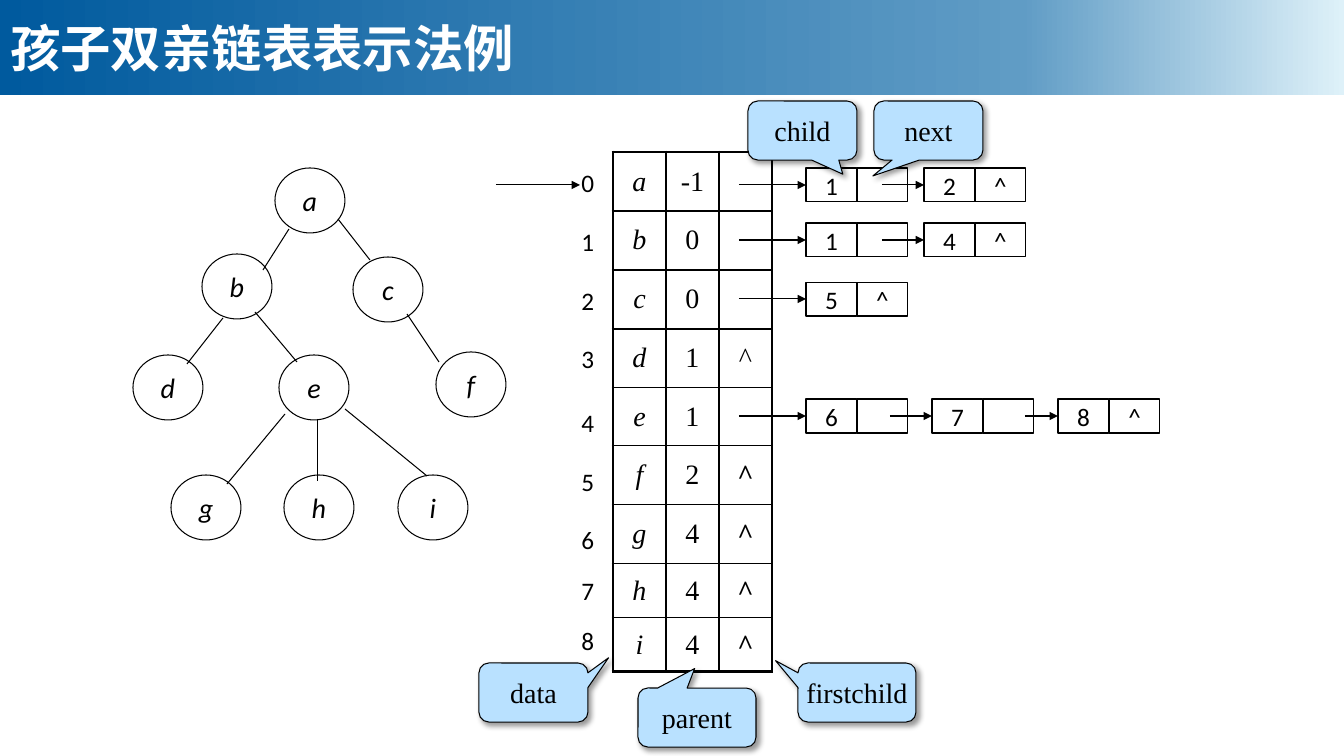
import pptx
import pptx.util
import pptx.dml.color
import pptx.enum.shapes
import pptx.enum.text
import pptx.oxml
import pptx.oxml.ns

PX = 9071  # EMU in one px
Pt = pptx.util.Pt
RGB = pptx.dml.color.RGBColor.from_string
Kind = pptx.enum.shapes.MSO_SHAPE
Align = pptx.enum.text.PP_ALIGN
Middle = pptx.enum.text.MSO_ANCHOR.MIDDLE
NS = pptx.oxml.ns.nsdecls("a")

THEME = {
    "ink": "000000", "white": "FFFFFF", "note": "B9E1FF",
    "band": [(0, "005A9E"), (76, "609CC5"), (100, "DEF1F9")],
    "thin": 0.75, "rule": 1, "frame": 2.25,
    "title": {"name": "Noto Sans CJK SC", "size": Pt(36), "bold": True},
    "node": {"name": "Calibri", "size": Pt(20), "italic": True},
    "small": {"name": "Calibri", "size": Pt(18)},
    "serif": {"name": "Times New Roman", "size": Pt(20)},
}


def write(frame, text, style, align=Align.CENTER, color="ink"):
    para = frame.paragraphs[0]
    para.alignment = align
    run = para.add_run()
    run.text = text
    for key, value in style.items():
        setattr(run.font, key, value)
    run.font.color.rgb = RGB(THEME[color])
    return run


def box(kind, x, y, w, h, text, style, fill=None):
    shape = slide.shapes.add_shape(kind, x * PX, y * PX, w * PX, h * PX)
    shape.shadow.inherit = False
    shape.line.color.rgb = RGB(THEME["ink"])
    shape.line.width = Pt(THEME["thin"])
    if fill:
        shape.fill.solid()
        shape.fill.fore_color.rgb = RGB(THEME[fill])
    else:
        shape.fill.background()
    if text:
        shape.text_frame.word_wrap = False
        shape.text_frame.vertical_anchor = Middle
        write(shape.text_frame, text, style)
    return shape


deck = pptx.Presentation()
deck.slide_width, deck.slide_height = 1344 * PX, 756 * PX
slide = deck.slides.add_slide(deck.slide_layouts[5])

# Title band
title = slide.shapes.title
title.left, title.top, title.width, title.height = 0, 0, 1344 * PX, 95 * PX
stops = "".join(f'<a:gs pos="{at * 1000}"><a:srgbClr val="{color}"/></a:gs>'
                for at, color in THEME["band"])
title._element.spPr.append(pptx.oxml.parse_xml(
    f'<a:gradFill {NS} rotWithShape="1"><a:gsLst>{stops}</a:gsLst>'
    '<a:lin ang="0" scaled="0"/></a:gradFill>'))
title.text_frame.auto_size = pptx.enum.text.MSO_AUTO_SIZE.NONE
title.text_frame.vertical_anchor = Middle
run = write(title.text_frame, "孩子双亲链表表示法例", THEME["title"], Align.LEFT, "white")
run.font._element.append(pptx.oxml.parse_xml(
    f'<a:ea {NS} typeface="{THEME["title"]["name"]}"/>'))

# Tree nodes
tree = {"a": (275, 168), "b": (202, 254), "c": (353, 257), "d": (133, 355),
        "e": (279, 355), "f": (436, 352), "g": (171, 475), "h": (284, 475),
        "i": (398, 475)}
for name, (x, y) in tree.items():
    box(Kind.OVAL, x, y, 70, 65, name, THEME["node"])

# Lines: start, end, arrowhead, joined box
edges = [(289, 229, 263, 270), (223, 318, 187, 364), (338, 219, 370, 260),
         (255, 312, 297, 362), (407, 314, 439, 362), (318, 419, 318, 481),
         (285, 414, 227, 484), (345, 409, 427, 476)]
lines = [(*edge, False, None) for edge in edges]
lines.append((496, 185, 580, 185, True, None))

# Node table: data, parent, firstchild
rows = [("a", "-1", ""), ("b", "0", ""), ("c", "0", ""), ("d", "1", "^"),
        ("e", "1", ""), ("f", "2", "^"), ("g", "4", "^"), ("h", "4", "^"),
        ("i", "4", "^")]
highs = [59, 59, 59, 59, 58, 59, 59, 54, 54]
table = slide.shapes.add_table(9, 3, 613 * PX, 152 * PX, 159 * PX, sum(highs) * PX).table
table.first_row = table.horz_banding = False
for col in table.columns:
    col.width = 53 * PX
for r, row in enumerate(rows):
    table.rows[r].height = highs[r] * PX
    for c, text in enumerate(row):
        cell = table.cell(r, c)
        cell.vertical_anchor = Middle
        outer = {"L": c == 0, "R": c == 2, "T": r == 0, "B": r == 8}
        for side, edge in outer.items():
            wide = Pt(THEME["frame" if edge else "rule"])
            cell._tc.get_or_add_tcPr().append(pptx.oxml.parse_xml(
                f'<a:ln{side} {NS} w="{wide}"><a:solidFill>'
                f'<a:srgbClr val="{THEME["ink"]}"/></a:solidFill></a:ln{side}>'))
        cell.fill.background()
        if text:
            style = {**THEME["serif"], "italic": c == 0, "bold": c == 2 and r > 4}
            write(cell.text_frame, text, style)

# Row numbers
for num, y in enumerate([162, 221, 280, 338, 402, 461, 519, 570, 620]):
    label = slide.shapes.add_textbox(537 * PX, y * PX, 67 * PX, 40 * PX)
    label.text_frame.word_wrap = True
    write(label.text_frame, str(num), THEME["small"], Align.RIGHT)

# Child lists: top, then arrow start, box left and child number
WIDE, HIGH = 51, 34
chains = [(168, [(739, 806, "1"), (882, 924, "2")]),
          (223, [(739, 806, "1"), (882, 924, "4")]),
          (282, [(739, 806, "5")]),
          (399, [(739, 806, "6"), (890, 932, "7"), (1025, 1058, "8")])]
for y, links in chains:
    mid = y + HIGH // 2
    for start, x, child in links:
        end = "^" if child == links[-1][2] else ""
        item = box(Kind.RECTANGLE, x, y, WIDE, HIGH, child, THEME["small"])
        box(Kind.RECTANGLE, x + WIDE, y, WIDE, HIGH, end, THEME["small"])
        lines.append((start, mid, x, mid, True, item))

# Draw the lines
for x1, y1, x2, y2, arrow, item in lines:
    line = slide.shapes.add_connector(pptx.enum.shapes.MSO_CONNECTOR.STRAIGHT,
                                      x1 * PX, y1 * PX, x2 * PX, y2 * PX)
    line.line.color.rgb = RGB(THEME["ink"])
    line.line.width = Pt(THEME["thin"])
    if arrow:
        line.line._get_or_add_ln().append(
            pptx.oxml.parse_xml(f'<a:tailEnd {NS} type="triangle"/>'))
    if item:
        line.end_connect(item, 1)
    line._element.spPr.append(pptx.oxml.parse_xml(f"<a:effectLst {NS}/>"))

# Field callouts with soft shadows
notes = [("data", 479, 663, 109, 0.69, -0.59),
         ("firstchild", 798, 663, 118, -0.69, -0.54),
         ("parent", 638, 688, 118, -0.02, -0.83),
         ("child", 748, 101, 109, 0.37, 0.74),
         ("next", 874, 101, 109, -0.51, 0.77)]
for text, x, y, w, dx, dy in notes:
    note = box(Kind.ROUNDED_RECTANGULAR_CALLOUT, x, y, w, 59, text,
               THEME["serif"], "note")
    note.adjustments[0], note.adjustments[1] = dx, dy
    effects = note._element.spPr.find(pptx.oxml.ns.qn("a:effectLst"))
    effects.append(pptx.oxml.parse_xml(
        f'<a:outerShdw {NS} blurRad="{Pt(4)}" dist="{Pt(3)}" dir="2700000" '
        f'algn="tl" rotWithShape="0"><a:srgbClr val="{THEME["ink"]}">'
        '<a:alpha val="40000"/></a:srgbClr></a:outerShdw>'))

deck.save("out.pptx")
